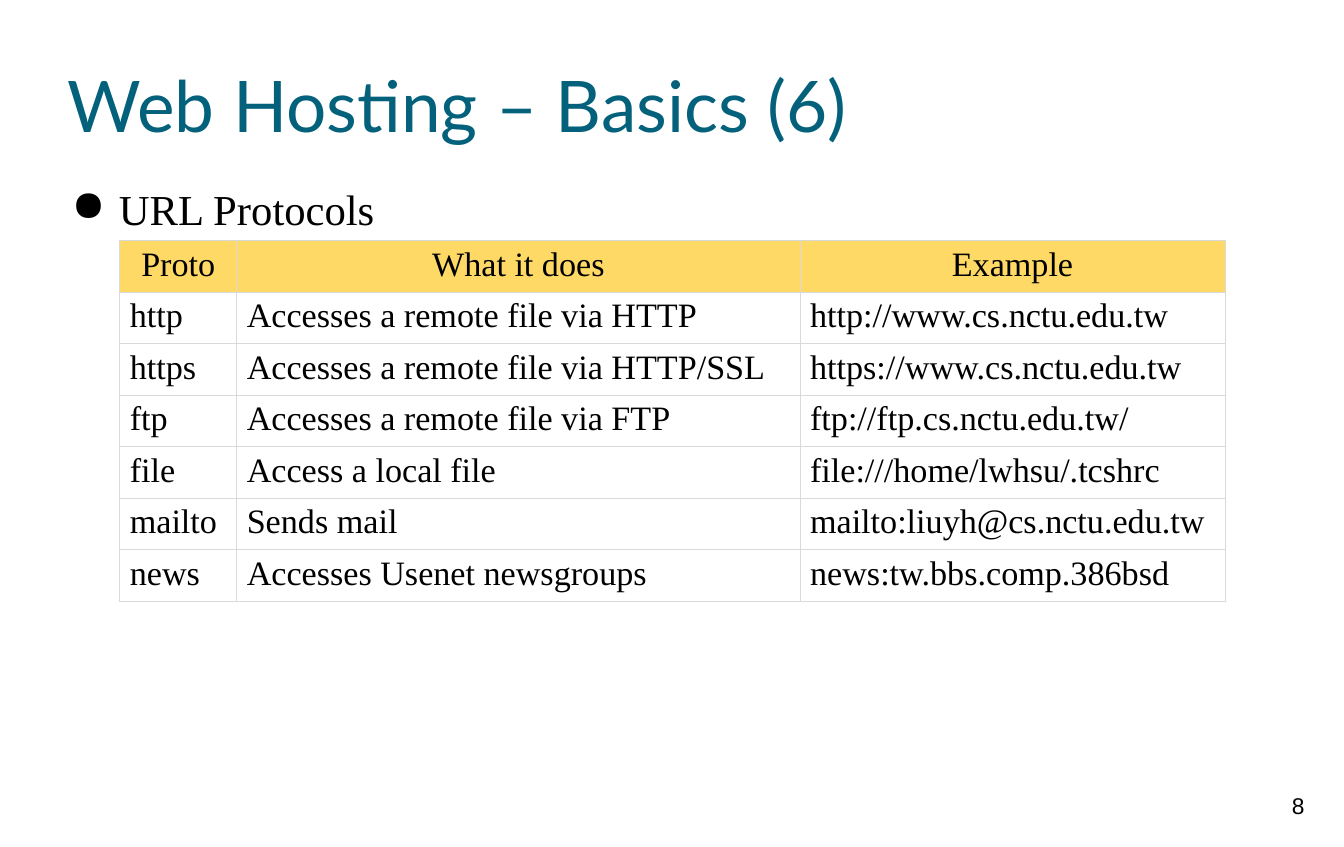
from lxml.etree import SubElement
from pptx import Presentation
from pptx.dml.color import RGBColor
from pptx.enum.text import MSO_ANCHOR as Anchor, PP_ALIGN as Align
from pptx.oxml import parse_xml
from pptx.oxml.ns import nsdecls, qn
from pptx.util import Cm, Pt

COLORS = {"title": "04617B", "text": "000000", "header": "FFD966", "border": "D9D9D9"}
SERIF = "Times New Roman"

HEADINGS = ["Proto", "What it does", "Example"]
PROTOCOLS = [
    ["http", "Accesses a remote file via HTTP", "http://www.cs.nctu.edu.tw"],
    ["https", "Accesses a remote file via HTTP/SSL", "https://www.cs.nctu.edu.tw"],
    ["ftp", "Accesses a remote file via FTP", "ftp://ftp.cs.nctu.edu.tw/"],
    ["file", "Access a local file", "file:///home/lwhsu/.tcshrc"],
    ["mailto", "Sends mail", "mailto:liuyh@cs.nctu.edu.tw"],
    ["news", "Accesses Usenet newsgroups", "news:tw.bbs.comp.386bsd"],
]


def write(frame, text, font=SERIF, size=24, color="text", align=Align.LEFT,
          bullet=None, spacing=None):
    """Fill the first paragraph of a text frame."""
    para = frame.paragraphs[0]
    para.alignment = align
    if spacing:
        para.line_spacing = spacing
    if bullet:
        props = para._p.get_or_add_pPr()
        props.set("marL", str(Cm(1.27)))
        props.set("indent", str(Cm(-1.17)))
        SubElement(props, qn("a:buChar")).set("char", bullet)
    span = para.add_run()
    span.text = text
    span.font.name = font
    span.font.size = Pt(size)
    span.font.color.rgb = RGBColor.from_string(COLORS[color])


class SlideBuilder:
    def __init__(self, deck):
        self.page = deck.slides.add_slide(deck.slide_layouts[6])

    def text(self, text, left, top, width, height, inset=0, anchor=Anchor.TOP, **style):
        box = self.page.shapes.add_textbox(Cm(left), Cm(top), Cm(width), Cm(height))
        frame = box.text_frame
        frame.word_wrap = True
        frame.vertical_anchor = anchor
        frame.margin_left = frame.margin_right = Cm(inset)
        frame.margin_top = frame.margin_bottom = Cm(inset)
        write(frame, text, **style)

    def table(self, rows, left, top, widths, row_height):
        shape = self.page.shapes.add_table(
            len(rows), len(widths), Cm(left), Cm(top),
            Cm(sum(widths)), Cm(row_height * len(rows)))
        grid = shape.table
        for column, width in zip(grid.columns, widths):
            column.width = Cm(width)
        for r, row in enumerate(rows):
            grid.rows[r].height = Cm(row_height)
            for c, text in enumerate(row):
                self.cell(grid.cell(r, c), text, is_header=r == 0)

    def cell(self, cell, text, is_header):
        cell.margin_left = cell.margin_right = Cm(0.25)
        cell.margin_top = cell.margin_bottom = Cm(0.13)
        write(cell.text_frame, text, align=Align.CENTER if is_header else Align.LEFT)
        if is_header:
            cell.fill.solid()
            cell.fill.fore_color.rgb = RGBColor.from_string(COLORS["header"])
        else:
            cell.fill.background()
        # Borders come before the fill in the cell properties
        props = cell._tc.get_or_add_tcPr()
        for index, side in enumerate("LRTB"):
            props.insert(index, parse_xml(
                f'<a:ln{side} {nsdecls("a")} w="{Pt(0.75)}"><a:solidFill>'
                f'<a:srgbClr val="{COLORS["border"]}"/></a:solidFill></a:ln{side}>'))


def main():
    deck = Presentation()
    deck.slide_width, deck.slide_height = Cm(33.33), Cm(21)
    slide = SlideBuilder(deck)

    # Page number
    slide.text("8", 31.19, 19.38, 2.01, 1.6, inset=0.25,
               font="Arial", size=16, align=Align.CENTER)

    # Title and bullet
    slide.text("Web Hosting – Basics (6)", 1.68, 0.84, 30, 3.5,
               anchor=Anchor.MIDDLE, font="Lato", size=50, color="title")
    slide.text("URL Protocols", 1.68, 4.34, 30.07, 15.72,
               size=30, bullet="●", spacing=1.15)

    # Protocol table
    slide.table([HEADINGS] + PROTOCOLS, 2.97, 5.97, [2.9, 13.97, 10.54], 1.19)

    deck.save("out.pptx")


if __name__ == "__main__":
    main()
